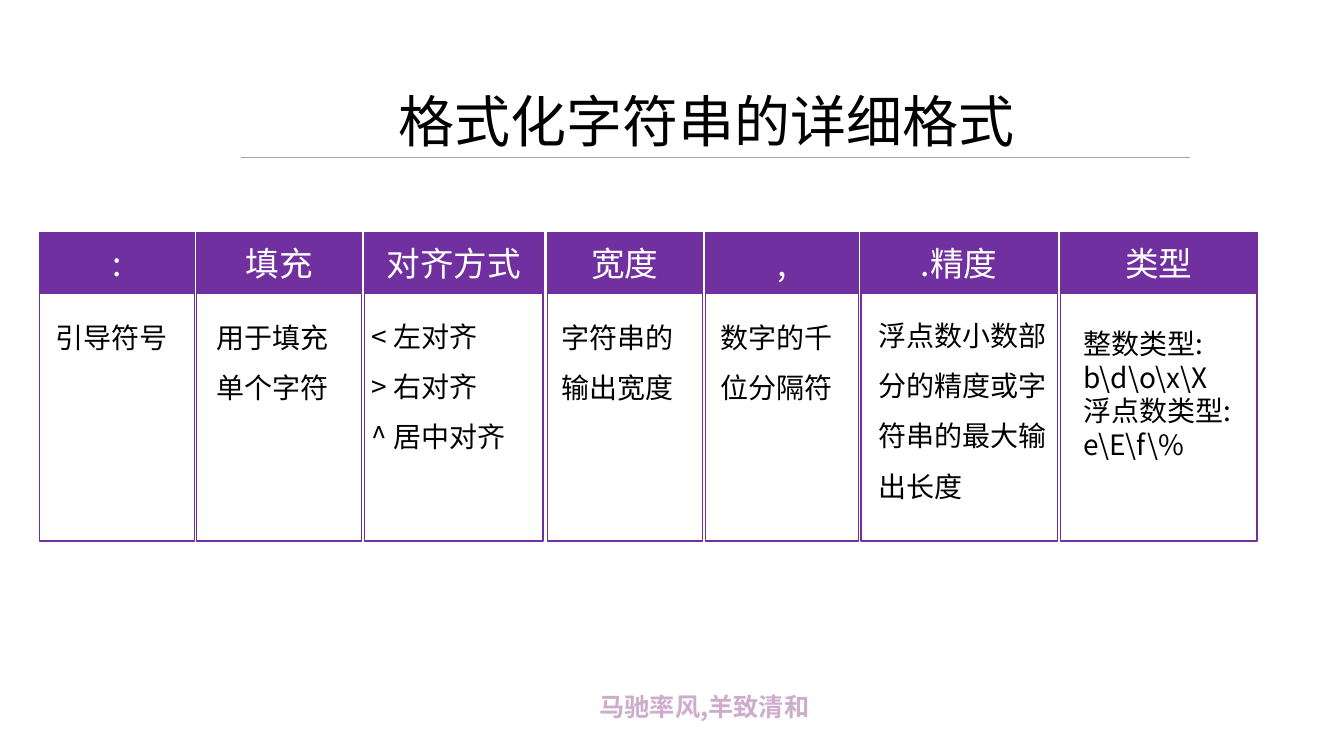
from dataclasses import dataclass
from typing import Optional

from lxml import etree
from pptx import Presentation
from pptx import util as u
from pptx.dml.color import RGBColor
from pptx.enum import shapes, text
from pptx.oxml import ns

Pt = u.Pt


@dataclass(frozen=True)
class Theme:
    """Colours, type sizes and font of the slide."""
    font: str = "Noto Sans CJK SC"
    purple: str = "7030A0"
    motto: str = "CDADCB"
    rule: str = "A5A5A5"
    ink: str = "000000"
    paper: str = "FFFFFF"
    title_size: int = 40
    header_size: int = 24
    body_size: int = 20
    motto_size: int = 18


@dataclass(frozen=True)
class Box:
    """A rectangle in points."""
    left: float
    top: float
    width: float
    height: float


@dataclass(frozen=True)
class Field:
    """One part of the format specifier with its explanation."""
    header: str
    left: float
    width: float
    note: Box
    lines: tuple[str, ...]
    spacing: Optional[float] = 1.5
    justified: int = 0


THEME = Theme()
COLUMN_TOP, COLUMN_HEIGHT, HEADER_HEIGHT = 166.3, 220.3, 43.2
NOTE_TOP = 213.1

FIELDS = (
    Field(":", 28.1, 110.9, Box(32.4, NOTE_TOP, 110.9, 39.6), ("引导符号",)),
    Field("填充", 140.4, 118.1, Box(147.6, NOTE_TOP, 110.9, 75.6),
          ("用于填充单个字符",)),
    Field("对齐方式", 260.6, 127.4, Box(258.5, 212.4, 129.6, 112.3),
          ("< 左对齐", "> 右对齐", "^ 居中对齐")),
    Field("宽度", 391, 110.9, Box(393.8, NOTE_TOP, 110.9, 75.6),
          ("字符串的输出宽度",)),
    Field(",", 504, 109.2, Box(507.6, NOTE_TOP, 110.9, 75.6),
          ("数字的千位分隔符",)),
    Field(".精度", 614.9, 140.4, Box(620.6, 211.7, 140.4, 148.3),
          ("浮点数小数部分的精度或字符串的最大输出长度",)),
    Field("类型", 757.4, 140.4, Box(766.8, 229.7, 140.4, 104.4),
          ("整数类型:", "b\\d\\o\\x\\X", "浮点数类型:", "e\\E\\f\\%"),
          spacing=None, justified=3),
)


def add_run(paragraph, words: str, size: int, colour: str, bold: bool = False) -> None:
    """Append a styled run, naming the font for Latin and East Asian text."""
    run = paragraph.add_run()
    run.text = words
    run.font.name = THEME.font
    run.font.size = Pt(size)
    run.font.bold = bold
    run.font.color.rgb = RGBColor.from_string(colour)
    east_asian = etree.Element(ns.qn("a:ea"), typeface=THEME.font)
    run.font._element.find(ns.qn("a:latin")).addnext(east_asian)


def add_text(slide, box: Box, lines: tuple[str, ...], size: int, colour: str,
             bold: bool = False, wrap: bool = True,
             spacing: Optional[float] = None, justified: int = 0) -> None:
    """Place a growing text box with one paragraph per line."""
    frame = slide.shapes.add_textbox(
        Pt(box.left), Pt(box.top), Pt(box.width), Pt(box.height)).text_frame
    frame.word_wrap = wrap
    frame.auto_size = text.MSO_AUTO_SIZE.SHAPE_TO_FIT_TEXT
    for index, words in enumerate(lines):
        paragraph = frame.add_paragraph() if index else frame.paragraphs[0]
        paragraph.line_spacing = spacing
        if index < justified:
            paragraph.alignment = text.PP_ALIGN.JUSTIFY
        add_run(paragraph, words, size, colour, bold)


def add_rectangle(slide, box: Box, filled: bool):
    """Draw a purple-edged rectangle, filled or open."""
    rectangle = slide.shapes.add_shape(
        shapes.MSO_SHAPE.RECTANGLE,
        Pt(box.left), Pt(box.top), Pt(box.width), Pt(box.height))
    rectangle.shadow.inherit = False
    rectangle.line.color.rgb = RGBColor.from_string(THEME.purple)
    rectangle.line.width = Pt(1)
    if filled:
        rectangle.fill.solid()
        rectangle.fill.fore_color.rgb = RGBColor.from_string(THEME.purple)
    else:
        rectangle.fill.background()
    return rectangle


def add_column(slide, field: Field) -> None:
    """Draw the frame and the header of one field."""
    add_rectangle(slide, Box(field.left, COLUMN_TOP, field.width, COLUMN_HEIGHT), False)
    header = add_rectangle(
        slide, Box(field.left, COLUMN_TOP, field.width, HEADER_HEIGHT), True)
    header.text_frame.vertical_anchor = text.MSO_ANCHOR.MIDDLE
    paragraph = header.text_frame.paragraphs[0]
    paragraph.alignment = text.PP_ALIGN.CENTER
    add_run(paragraph, field.header, THEME.header_size, THEME.paper)


def add_title_rule(slide) -> None:
    """Draw the thin line under the title."""
    rule = slide.shapes.add_connector(
        shapes.MSO_CONNECTOR.STRAIGHT, Pt(172.1), Pt(112.3), Pt(850.3), Pt(112.3))
    rule.line.color.rgb = RGBColor.from_string(THEME.rule)
    rule.line.width = Pt(0.5)
    etree.SubElement(rule._element.spPr, ns.qn("a:effectLst"))


def main() -> None:
    """Build the slide and save it."""
    deck = Presentation()
    deck.slide_width, deck.slide_height = Pt(960), Pt(540)
    slide = deck.slides.add_slide(deck.slide_layouts[6])
    add_text(slide, Box(421.2, 490.3, 204.5, 28.8), ("马驰率风,羊致清和",),
             THEME.motto_size, THEME.motto, bold=True)
    add_title_rule(slide)
    add_text(slide, Box(277.9, 58.3, 458.6, 55.4), ("格式化字符串的详细格式",),
             THEME.title_size, THEME.ink, wrap=False)
    for field in FIELDS:
        add_column(slide, field)
    for field in FIELDS:
        add_text(slide, field.note, field.lines, THEME.body_size, THEME.ink,
                 spacing=field.spacing, justified=field.justified)
    deck.save("out.pptx")


if __name__ == "__main__":
    main()
